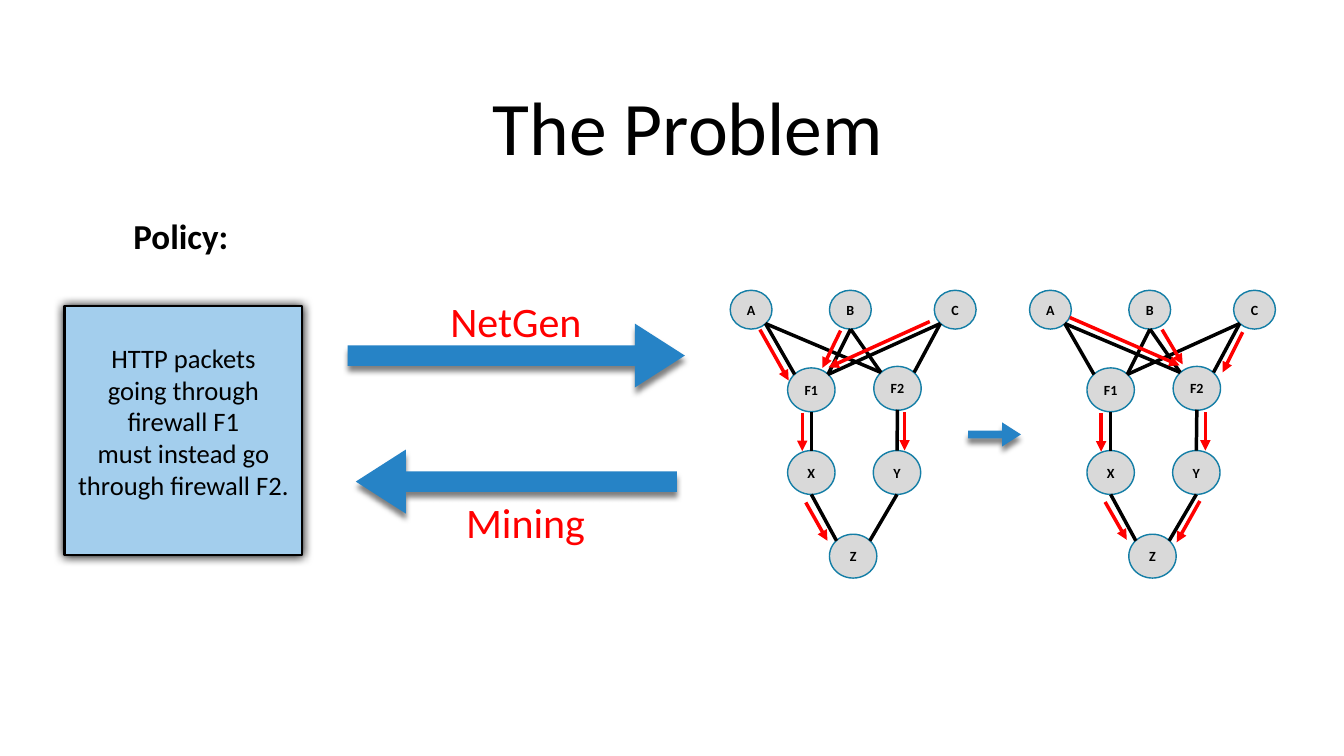
import pptx
import pptx.util
import pptx.dml.color
import pptx.enum.shapes
import pptx.enum.text
import pptx.oxml
import pptx.oxml.ns
import lxml.etree

PX = 9144
RGB = pptx.dml.color.RGBColor
BLACK = RGB(0x00, 0x00, 0x00)
WHITE = RGB(0xFF, 0xFF, 0xFF)
RED = RGB(0xFF, 0x00, 0x00)
BLUE = RGB(0x26, 0x83, 0xC6)
PALE = RGB(0xA3, 0xCE, 0xED)
GREY = RGB(0xD9, 0xD9, 0xD9)
TEAL = RGB(0x14, 0x7E, 0xA6)
KIND = pptx.enum.shapes.MSO_SHAPE
qn = pptx.oxml.ns.qn

deck = pptx.Presentation()
deck.slide_width = 2667 * PX
deck.slide_height = 1500 * PX
slide = deck.slides.add_slide(deck.slide_layouts[6])
shapes = slide.shapes


def draw(kind, box, fill, line=None, width=0):
    shape = shapes.add_shape(kind, *[n * PX for n in box])
    shape.shadow.inherit = False
    shape.fill.solid()
    shape.fill.fore_color.rgb = fill
    if line is None:
        shape.line.fill.background()
    else:
        shape.line.color.rgb = line
        shape.line.width = pptx.util.Pt(width)
    return shape


def write(shape, text, size, color=BLACK, bold=False, inset=(0, 0, 0, 0), wrap=True):
    frame = shape.text_frame
    frame.text = text
    frame.word_wrap = wrap
    frame.vertical_anchor = pptx.enum.text.MSO_ANCHOR.MIDDLE
    frame.margin_left, frame.margin_top, frame.margin_right, frame.margin_bottom = [n * PX for n in inset]
    for para in frame.paragraphs:
        para.alignment = pptx.enum.text.PP_ALIGN.CENTER
        for run in para.runs:
            run.font.name = "Calibri"
            run.font.size = pptx.util.Pt(size)
            run.font.bold = bold
            run.font.color.rgb = color


for text, box, size, bold in [
    ("The Problem", (215, 104, 2300, 290), 108, False),
    ("Policy:", (242, 420, 234, 95), 50, True),
]:
    label = shapes.add_textbox(*[n * PX for n in box])
    write(label, text, size, bold=bold, inset=(5, 5, 5, 5))

for text, box in [("NetGen", (876, 561, 296, 149)), ("Mining", (895, 961, 296, 149))]:
    label = draw(KIND.RECTANGLE, box, WHITE, WHITE, 2)
    write(label, text, 60, RED)

rule = draw(KIND.RECTANGLE, (128, 607, 472, 494), PALE, BLACK, 3)
write(
    rule,
    "HTTP packets\ngoing through firewall F1\nmust instead go through firewall F2.",
    38,
    inset=(14, 0, 14, 36),
)

shades = [(rule, 100, 15, 0.7)]
for box, turn in [
    ((690, 642, 669, 127), 0),
    ((706, 892, 637, 127), 180),
    ((1921, 838, 105, 48), 0),
]:
    arrow = draw(KIND.RIGHT_ARROW, box, BLUE)
    arrow.adjustments[0] = 0.32
    arrow.adjustments[1] = 0.782
    arrow.rotation = turn
    shades.append((arrow, 50, 8, 7.8))

for shape, alpha, blur, dist in shades:
    effect = shape._element.spPr.find(qn("a:effectLst"))
    shade = lxml.etree.SubElement(
        effect,
        qn("a:outerShdw"),
        blurRad=str(int(blur * 12700)),
        dist=str(int(dist * 12700)),
        dir="5400000",
        rotWithShape="0",
    )
    tint = lxml.etree.SubElement(shade, qn("a:srgbClr"), val="000000")
    lxml.etree.SubElement(tint, qn("a:alpha"), val=str(alpha * 1000))

HOST = (83, 77)
HOP = (94, 87)
nodes = [
    ("A", 0, 576, HOST), ("B", 197, 576, HOST), ("C", 405, 576, HOST),
    ("F1", 114, 730, HOP), ("F2", 285, 727, HOP),
    ("X", 114, 894, HOP), ("Y", 284, 894, HOP), ("Z", 197, 1060, HOP),
]
links = [
    (70, 642, 128, 743), (70, 642, 299, 739),
    (239, 653, 194, 743), (239, 653, 299, 739),
    (417, 642, 194, 743), (417, 642, 365, 739),
    (161, 817, 161, 894), (332, 813, 331, 894),
    (161, 981, 211, 1073), (331, 981, 277, 1073),
]
before = [
    (59, 654, 116, 755), (219, 656, 183, 730), (396, 638, 195, 729),
    (143, 819, 143, 895), (346, 818, 346, 894), (150, 997, 193, 1073),
]
after = [
    (80, 630, 298, 725), (263, 654, 304, 723), (423, 659, 383, 739),
    (142, 820, 142, 896), (349, 818, 349, 894),
    (150, 996, 193, 1071), (338, 994, 292, 1076),
]

for left, flows in [(1449, before), (2043, after)]:
    for name, x, y, size in nodes:
        node = draw(KIND.OVAL, (left + x, y, *size), GREY, TEAL, 2)
        write(node, name, 20, bold=True, wrap=False)
    for color, group in [(BLACK, links), (RED, flows)]:
        for x1, y1, x2, y2 in group:
            line = shapes.add_connector(
                pptx.enum.shapes.MSO_CONNECTOR.STRAIGHT,
                (left + x1) * PX, y1 * PX, (left + x2) * PX, y2 * PX,
            )
            line.line.color.rgb = color
            line.line.width = pptx.util.Pt(5)
            if color == RED:
                lxml.etree.SubElement(line.line._ln, qn("a:tailEnd"), type="triangle")
            lxml.etree.SubElement(line._element.spPr, qn("a:effectLst"))

deck.save("out.pptx")
